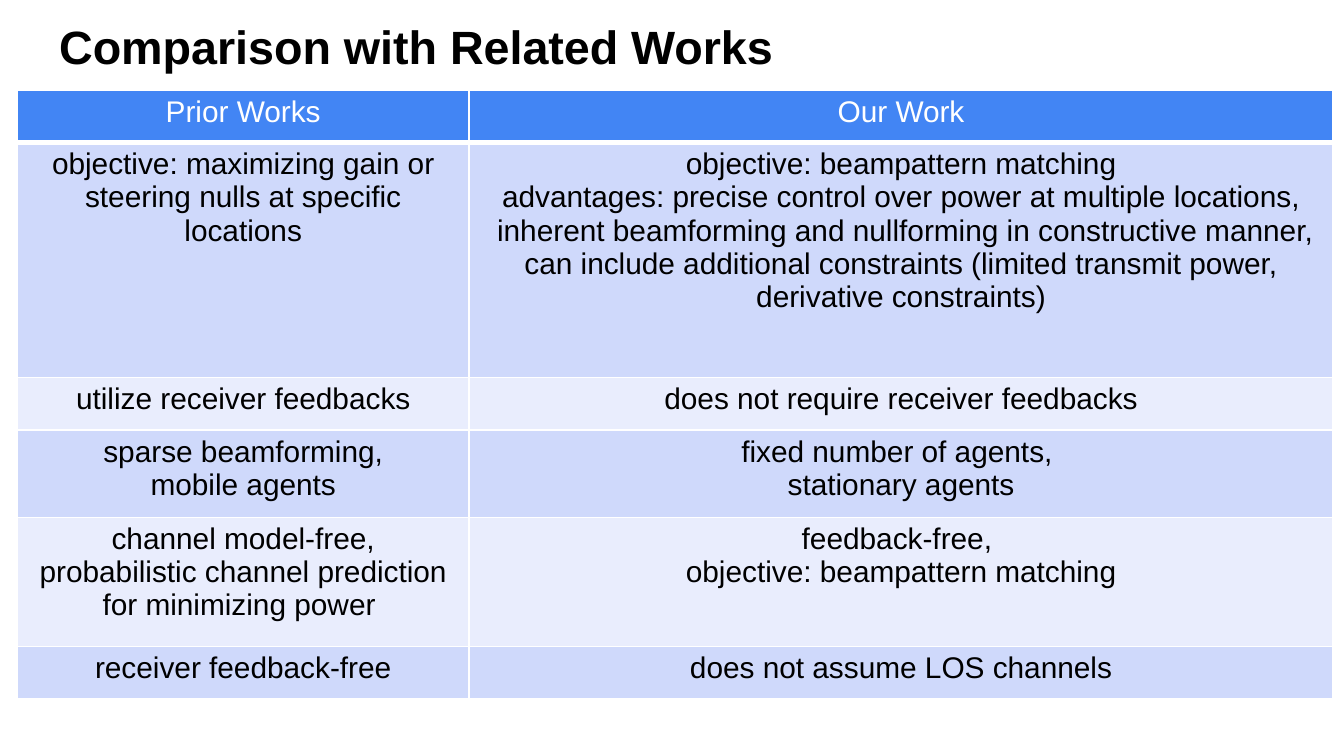
from dataclasses import dataclass

import pptx
import pptx.dml.color
import pptx.enum.text
import pptx.oxml
import pptx.oxml.ns
import pptx.util

Inches = pptx.util.Inches
Pt = pptx.util.Pt


@dataclass(frozen=True)
class Theme:
    font: str = "Arial"
    ink: str = "000000"
    paper: str = "FFFFFF"
    header: str = "4285F4"
    bands: tuple = ("CFD9FB", "E9EDFD")
    title_size: int = 25
    cell_size: int = 16
    rule_width: int = 1
    header_rule_width: int = 3


THEME = Theme()

HEADINGS = (["Prior Works"], ["Our Work"])
COMPARISONS = [
    (["objective: maximizing gain or steering nulls at specific locations"],
     ["objective: beampattern matching",
      "advantages: precise control over power at multiple locations,",
      " inherent beamforming and nullforming in constructive manner,",
      "can include additional constraints (limited transmit power, derivative constraints)"]),
    (["utilize receiver feedbacks"], ["does not require receiver feedbacks"]),
    (["sparse beamforming,", "mobile agents"],
     ["fixed number of agents, ", "stationary agents"]),
    (["channel model-free,",
      "probabilistic channel prediction for minimizing power "],
     ["feedback-free, ", "objective: beampattern matching"]),
    (["receiver feedback-free"], ["does not assume LOS channels"]),
]
COLUMN_WIDTHS = (3.36, 6.43)
ROW_HEIGHTS = (0.39, 1.75, 0.39, 0.65, 0.96, 0.39)


def rgb(color):
    return pptx.dml.color.RGBColor.from_string(color)


def add_run(paragraph, wording, size, color, bold=False):
    run = paragraph.add_run()
    run.text = wording
    run.font.name = THEME.font
    run.font.size = Pt(size)
    run.font.bold = bold
    run.font.color.rgb = rgb(color)


def place_title(slide, left, top, width, height):
    title = slide.shapes.title
    title.left, title.top = Inches(left), Inches(top)
    title.width, title.height = Inches(width), Inches(height)
    frame = title.text_frame
    frame.word_wrap = True
    frame.auto_size = pptx.enum.text.MSO_AUTO_SIZE.NONE
    frame.vertical_anchor = pptx.enum.text.MSO_ANCHOR.TOP
    frame.margin_left = frame.margin_right = Inches(0.1)
    frame.margin_top = frame.margin_bottom = Inches(0.1)
    heading = frame.paragraphs[0]
    heading.alignment = pptx.enum.text.PP_ALIGN.LEFT
    heading.line_spacing = 0.9
    add_run(heading, "Comparison with Related Works", THEME.title_size, THEME.ink, True)


def rule_cell(cell, bottom_width):
    properties = cell._tc.get_or_add_tcPr()
    for side in ("lnL", "lnR", "lnT", "lnB"):
        width = bottom_width if side == "lnB" else THEME.rule_width
        properties.append(pptx.oxml.parse_xml(
            f'<a:{side} {pptx.oxml.ns.nsdecls("a")} w="{Pt(width)}">'
            f'<a:solidFill><a:srgbClr val="{THEME.paper}"/></a:solidFill></a:{side}>'))


def fill_cell(cell, lines, background, ink, bottom_width):
    rule_cell(cell, bottom_width)
    cell.fill.solid()
    cell.fill.fore_color.rgb = rgb(background)
    cell.margin_left = cell.margin_right = Inches(0.07)
    cell.margin_top = cell.margin_bottom = Inches(0.04)
    frame = cell.text_frame
    for index, line in enumerate(lines):
        paragraph = frame.add_paragraph() if index else frame.paragraphs[0]
        paragraph.alignment = pptx.enum.text.PP_ALIGN.CENTER
        add_run(paragraph, line, THEME.cell_size, ink)


def place_comparison(slide, left, top, width, height):
    entries = [HEADINGS] + COMPARISONS
    comparison = slide.shapes.add_table(
        len(entries), len(HEADINGS),
        Inches(left), Inches(top), Inches(width), Inches(height)).table
    for column, share in zip(comparison.columns, COLUMN_WIDTHS):
        column.width = Inches(width * share / sum(COLUMN_WIDTHS))
    for row, share in zip(comparison.rows, ROW_HEIGHTS):
        row.height = Inches(height * share / sum(ROW_HEIGHTS))
    for row_index, entry in enumerate(entries):
        if row_index == 0:
            style = THEME.header, THEME.paper, THEME.header_rule_width
        else:
            style = THEME.bands[(row_index - 1) % 2], THEME.ink, THEME.rule_width
        for column_index, lines in enumerate(entry):
            fill_cell(comparison.cell(row_index, column_index), lines, *style)


def main():
    deck = pptx.Presentation()
    deck.slide_width = Inches(10)
    deck.slide_height = deck.slide_width * 9 // 16
    slide = deck.slides.add_slide(deck.slide_layouts[5])
    slide.background.fill.solid()
    slide.background.fill.fore_color.rgb = rgb(THEME.paper)
    place_title(slide, 0.34, 0.08, 9.58, 0.43)
    place_comparison(slide, 0.13, 0.67, 9.79, 4.53)
    deck.save("out.pptx")


if __name__ == "__main__":
    main()
